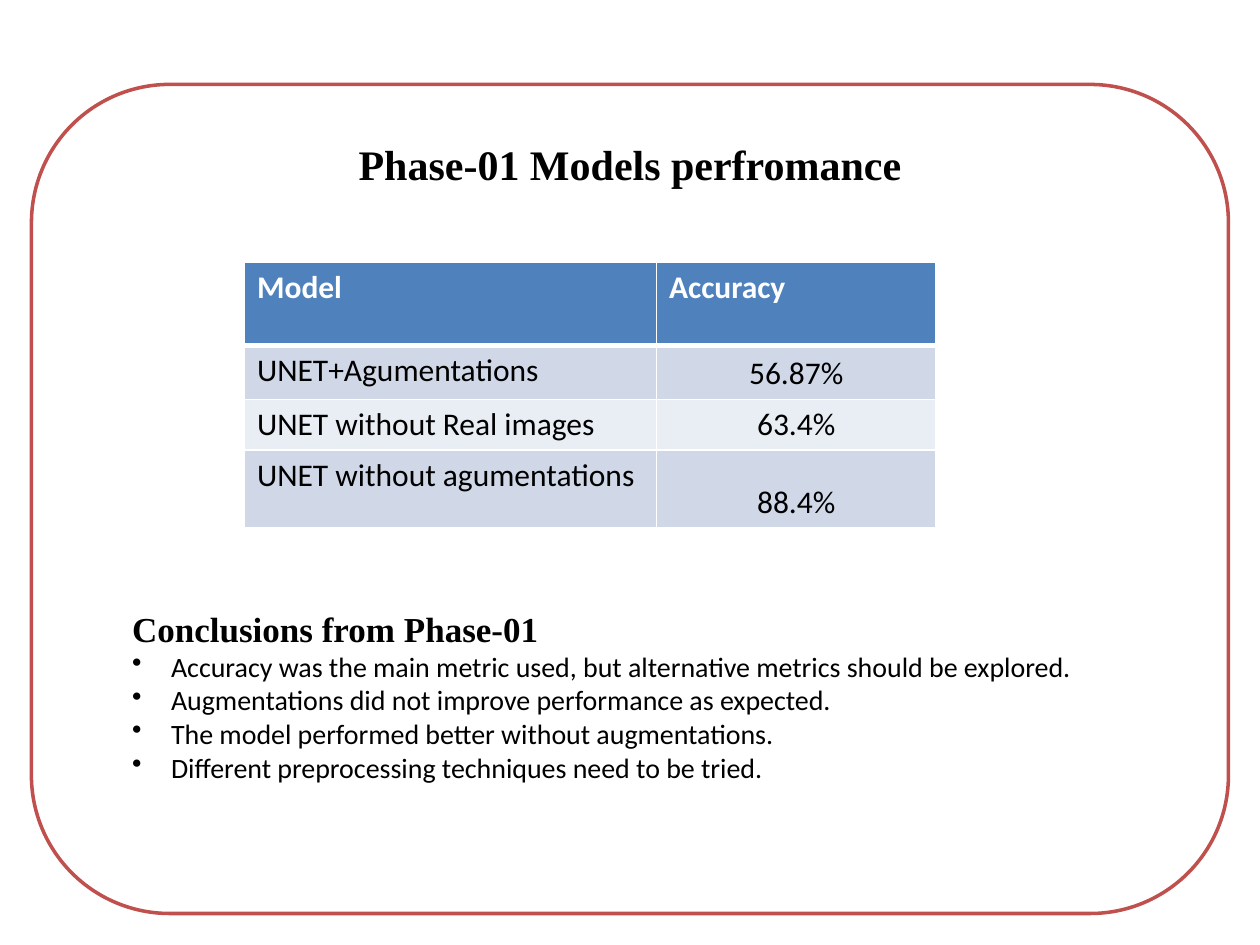
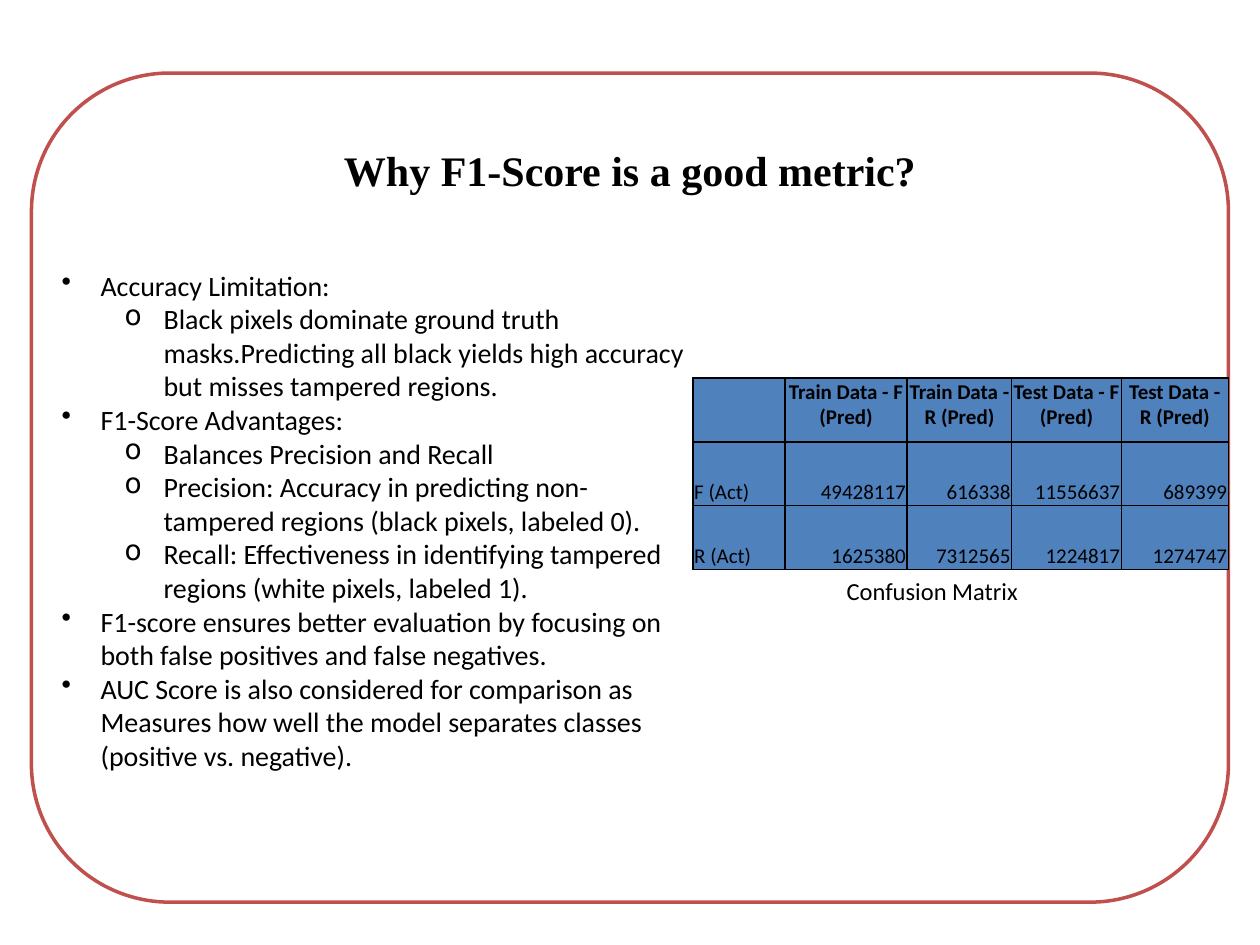
from dataclasses import dataclass

from lxml.etree import SubElement
from pptx import Presentation
from pptx.dml.color import RGBColor
from pptx.enum.shapes import MSO_SHAPE as Shape
from pptx.enum.text import MSO_ANCHOR as Anchor, PP_ALIGN as Align
from pptx.oxml.ns import qn
from pptx.util import Inches, Pt

COLUMNS, ROWS = 100, 75
SLIDE_WIDTH, SLIDE_HEIGHT = Inches(10), Inches(7.5)
COLUMN, ROW = SLIDE_WIDTH / COLUMNS, SLIDE_HEIGHT / ROWS

WHITE = RGBColor(0xFF, 0xFF, 0xFF)
BLACK = RGBColor(0, 0, 0)
RED = RGBColor(0xC0, 0x50, 0x4D)
BLUE = RGBColor(0x4F, 0x81, 0xBD)
BAND_DARK = RGBColor(0xD0, 0xD8, 0xE8)
BAND_LIGHT = RGBColor(0xE9, 0xED, 0xF4)

TITLE = {"name": "Times New Roman", "size": Pt(24), "bold": True}
HEADING = {**TITLE, "size": Pt(20)}
BODY = {"name": "Calibri", "size": Pt(16), "bold": False}
CAPTION = {**BODY, "size": Pt(14)}
MODEL_CELL = {**BODY, "size": Pt(18)}
MATRIX_CELL = {**BODY, "size": Pt(12)}
MATRIX_MARGINS = {"margin_left": Inches(0.01), "margin_right": Inches(0.01),
                  "margin_top": Inches(0.01), "margin_bottom": 0}

BULLETS = "•o"
BULLET_HANG = 0.31
LEVEL_STEP = 0.5

MODEL_ROWS = [
    ("Model", "Accuracy"),
    ("UNET+Agumentations", "56.87%"),
    ("UNET without Real images", "63.4%"),
    ("UNET without agumentations", "88.4%"),
]
CONCLUSIONS = [
    (0, "Accuracy was the main metric used, but alternative metrics should be explored."),
    (0, "Augmentations did not improve performance as expected."),
    (0, "The model performed better without augmentations."),
    (0, "Different preprocessing techniques need to be tried."),
]
MATRIX_ROWS = [
    ("", "Train Data - F (Pred)", "Train Data - R (Pred)",
     "Test Data - F (Pred)", "Test Data - R (Pred)"),
    ("F (Act)", "49428117", "616338", "11556637", "689399"),
    ("R (Act)", "1625380", "7312565", "1224817", "1274747"),
]
METRIC_POINTS = [
    (0, "Accuracy Limitation:"),
    (1, "Black pixels dominate ground truth masks.Predicting all black yields "
        "high accuracy but misses tampered regions."),
    (0, "F1-Score Advantages:"),
    (1, "Balances Precision and Recall"),
    (1, "Precision: Accuracy in predicting non-tampered regions (black pixels, labeled 0)."),
    (1, "Recall: Effectiveness in identifying tampered regions (white pixels, labeled 1)."),
    (0, "F1-score ensures better evaluation by focusing on both false positives "
        "and false negatives."),
    (0, "AUC Score is also considered for comparison as Measures how well the "
        "model separates classes (positive vs. negative)."),
]


@dataclass
class Box:
    """Region of the slide, in grid columns and rows."""
    left: float
    top: float
    width: float
    height: float

    def inner(self, left, top, width, height):
        """Return a region offset from this one's corner."""
        return Box(self.left + left, self.top + top, width, height)

    def place(self):
        """Return the region as slide lengths."""
        return (round(self.left * COLUMN), round(self.top * ROW),
                round(self.width * COLUMN), round(self.height * ROW))


def set_all(target, values):
    """Set each named attribute on the target."""
    for name, value in values.items():
        setattr(target, name, value)


def write(para, text, style, color=BLACK):
    """Add one styled run to a paragraph."""
    span = para.add_run()
    span.text = text
    set_all(span.font, style)
    span.font.color.rgb = color


def add_text(page, box, **settings):
    """Add a wrapping text box and return its text frame."""
    frame = page.shapes.add_textbox(*box.place()).text_frame
    set_all(frame, {"word_wrap": True, **settings})
    return frame


def add_bullets(frame, points, first=None):
    """Write bulleted points, starting in the given paragraph if any."""
    for level, text in points:
        para = first or frame.add_paragraph()
        first = None
        para.level = level
        props = para._p.get_or_add_pPr()
        props.set("marL", str(Inches(BULLET_HANG + level * LEVEL_STEP)))
        props.set("indent", str(-Inches(BULLET_HANG)))
        SubElement(props, qn("a:buChar")).set("char", BULLETS[level])
        write(para, text, BODY)


def add_panel(page, box):
    """Draw the rounded red outline."""
    panel = page.shapes.add_shape(Shape.ROUNDED_RECTANGLE, *box.place())
    panel.shadow.inherit = False
    panel.fill.solid()
    panel.fill.fore_color.rgb = WHITE
    panel.line.color.rgb = RED
    panel.line.width = Pt(2)


def add_title(page, box, text, **settings):
    """Write the centred slide title."""
    frame = add_text(page, box, vertical_anchor=Anchor.MIDDLE, **settings)
    para = frame.paragraphs[0]
    para.alignment = Align.CENTER
    write(para, text, TITLE)


def set_borders(cell, color, widths):
    """Draw the cell's left, right, top and bottom borders."""
    props = cell._tc.get_or_add_tcPr()
    for side, width in zip("LRTB", widths):
        line = SubElement(props, qn(f"a:ln{side}"), w=str(Pt(width)))
        SubElement(SubElement(line, qn("a:solidFill")), qn("a:srgbClr"), val=str(color))


def add_grid(page, box, widths, heights):
    """Add a table with the given column and row sizes."""
    table = page.shapes.add_table(len(heights), len(widths), *box.place()).table
    for column, width in zip(table.columns, widths):
        column.width = round(width * COLUMN)
    for row, height in zip(table.rows, heights):
        row.height = round(height * ROW)
    return table


def fill_cell(cell, text, style, fill, align, color=BLACK, **settings):
    """Set a cell's fill, layout and text."""
    cell.fill.solid()
    cell.fill.fore_color.rgb = fill
    set_all(cell, settings)
    para = cell.text_frame.paragraphs[0]
    para.alignment = align
    if text:
        write(para, text, style, color)


def add_model_table(page, box):
    """Show the accuracy of each model."""
    table = add_grid(page, box, (32.7, 22.2), (6.6, 4.3, 4, 6.2))
    for r, values in enumerate(MODEL_ROWS):
        head = r == 0
        fill = BLUE if head else (BAND_LIGHT, BAND_DARK)[r % 2]
        for c, text in enumerate(values):
            cell = table.cell(r, c)
            score = c == 1 and not head
            set_borders(cell, WHITE, (1, 1, 3 if r == 1 else 1, 3 if head else 1))
            fill_cell(cell, text, {**MODEL_CELL, "bold": head}, fill,
                      Align.CENTER if score else Align.LEFT,
                      WHITE if head else BLACK,
                      vertical_anchor=Anchor.BOTTOM if score else Anchor.TOP)


def add_matrix(page, box):
    """Show the confusion matrix."""
    table = add_grid(page, box, (7.3, 9.7, 8.3, 8.7, 8.5), [box.height / 3] * 3)
    for r, values in enumerate(MATRIX_ROWS):
        head = r == 0
        for c, text in enumerate(values):
            cell = table.cell(r, c)
            align = Align.CENTER if head else Align.RIGHT if c else Align.LEFT
            set_borders(cell, BLACK, (1, 1, 1, 1))
            fill_cell(cell, text, {**MATRIX_CELL, "bold": head}, BLUE, align,
                      vertical_anchor=Anchor.TOP if head else Anchor.BOTTOM,
                      **MATRIX_MARGINS)


def add_conclusions(page, box):
    """Write the heading and the conclusions below it."""
    frame = add_text(page, box, vertical_anchor=Anchor.MIDDLE, margin_bottom=Inches(0.32))
    write(frame.paragraphs[0], "Conclusions from Phase-01", HEADING)
    add_bullets(frame, CONCLUSIONS)


def build_performance(page, box):
    """Lay out the model performance slide."""
    add_panel(page, box)
    add_title(page, box.inner(2.5, 0, 90, 12.5), "Phase-01 Models perfromance")
    add_model_table(page, box.inner(16.9, 14.1, 54.9, 21.1))
    add_conclusions(page, box.inner(7, 43.6, 90, 12.5))


def build_metric(page, box):
    """Lay out the F1-score slide."""
    add_panel(page, box)
    add_title(page, box.inner(2.5, 1.8, 90, 20), "Why F1-Score is a good metric?",
              margin_bottom=Inches(0.87))
    add_matrix(page, box.inner(52.5, 24.2, 42.5, 15.2))
    frame = add_text(page, box.inner(1.4, 15, 52.1, 45.4))
    add_bullets(frame, METRIC_POINTS, frame.paragraphs[0])
    caption = add_text(page, box.inner(63.7, 39.4, 22.1, 3.4))
    write(caption.paragraphs[0], "Confusion Matrix", CAPTION)


def main():
    """Build and save the deck."""
    deck = Presentation()
    deck.slide_width, deck.slide_height = SLIDE_WIDTH, SLIDE_HEIGHT
    for build, top in ((build_performance, 6.7), (build_metric, 5.8)):
        page = deck.slides.add_slide(deck.slide_layouts[6])
        build(page, Box(2.5, top, 95, 65.8))
    deck.save("out.pptx")


if __name__ == "__main__":
    main()
